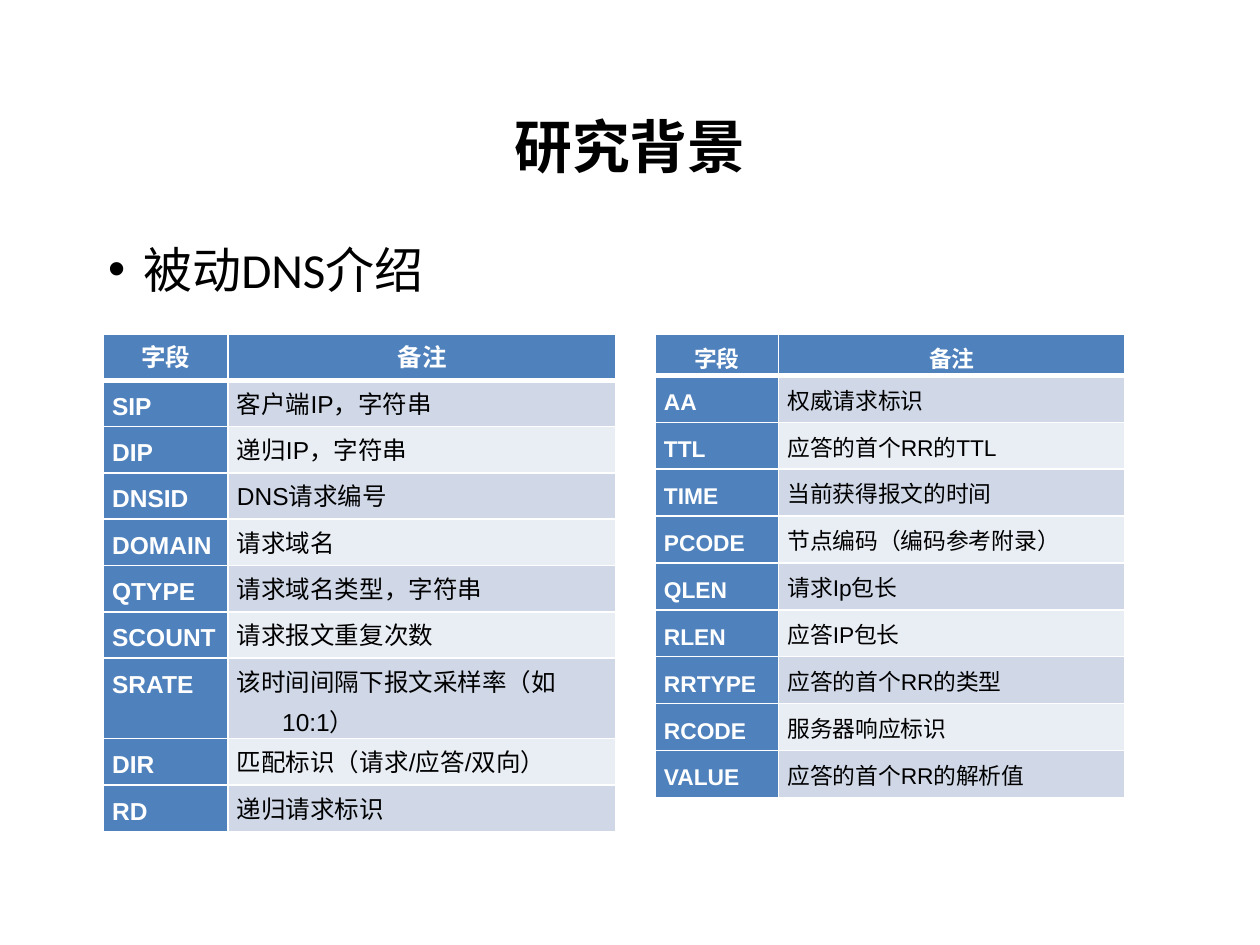
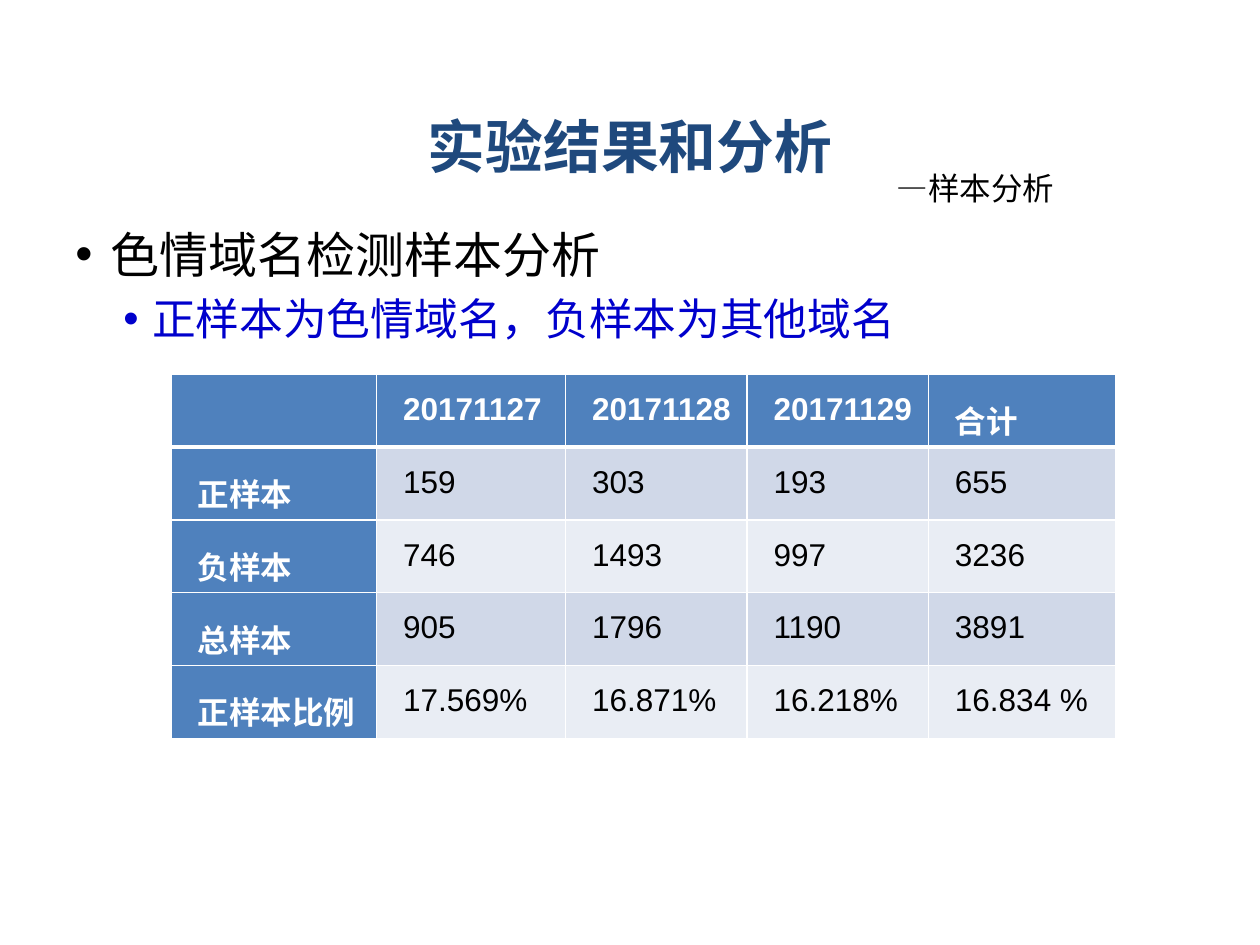
from lxml import etree
from pptx import Presentation
from pptx import util as u
from pptx.dml.color import RGBColor
from pptx.enum import text
from pptx.oxml import ns

PX = 9144  # 100 px to the inch

BLACK, WHITE = "000000", "FFFFFF"
NAVY, BLUE = "1F497D", "0000CC"
HEADER_FILL = "4F81BD"
BAND_FILLS = ("D0D8E8", "E9EDF4")
TITLE_BOX = (50, 76, 900, 79)

FIELD_HEADER = ("字段", "备注")
QUERY_FIELDS = [
    FIELD_HEADER,
    ("SIP", "客户端IP，字符串"),
    ("DIP", "递归IP，字符串"),
    ("DNSID", "DNS请求编号"),
    ("DOMAIN", "请求域名"),
    ("QTYPE", "请求域名类型，字符串"),
    ("SCOUNT", "请求报文重复次数"),
    ("SRATE", "该时间间隔下报文采样率（如10:1）"),
    ("DIR", "匹配标识（请求/应答/双向）"),
    ("RD", "递归请求标识"),
]
ANSWER_FIELDS = [
    FIELD_HEADER,
    ("AA", "权威请求标识"),
    ("TTL", "应答的首个RR的TTL"),
    ("TIME", "当前获得报文的时间"),
    ("PCODE", "节点编码（编码参考附录）"),
    ("QLEN", "请求Ip包长"),
    ("RLEN", "应答IP包长"),
    ("RRTYPE", "应答的首个RR的类型"),
    ("RCODE", "服务器响应标识"),
    ("VALUE", "应答的首个RR的解析值"),
]
SAMPLE_COUNTS = [
    ("", "20171127", "20171128", "20171129", "合计"),
    ("正样本", "159", "303", "193", "655"),
    ("负样本", "746", "1493", "997", "3236"),
    ("总样本", "905", "1796", "1190", "3891"),
    ("正样本比例", "17.569%", "16.871%", "16.218%", "16.834 %"),
]


def px(length):
    return u.Emu(round(length * PX))


def color(hex_string):
    return RGBColor.from_string(hex_string)


def add_run(paragraph, words, size, font="Arial", ink=BLACK, bold=False):
    run = paragraph.add_run()
    run.text = words
    run.font.size = u.Pt(size)
    run.font.name = font
    run.font.bold = bold
    run.font.color.rgb = color(ink)


def set_indent(paragraph, left, first):
    properties = paragraph._p.get_or_add_pPr()
    properties.set("marL", str(px(left)))
    properties.set("indent", str(px(first)))
    return properties


def add_text_frame(slide, box):
    frame = slide.shapes.add_textbox(*map(px, box)).text_frame
    frame.word_wrap = True
    return frame


def add_title(slide, words, ink):
    frame = add_text_frame(slide, TITLE_BOX)
    frame.vertical_anchor = text.MSO_ANCHOR.MIDDLE
    paragraph = frame.paragraphs[0]
    paragraph.alignment = text.PP_ALIGN.CENTER
    add_run(paragraph, words, 33, ink=ink, bold=True)


def add_bullets(slide, box, items):
    """Each item holds its words, size, ink, left margin and hanging indent."""
    frame = add_text_frame(slide, box)
    for index, (words, size, ink, left, hanging) in enumerate(items):
        paragraph = frame.add_paragraph() if index else frame.paragraphs[0]
        properties = set_indent(paragraph, left, -hanging)
        space = etree.SubElement(properties, ns.qn("a:spcBef"))
        etree.SubElement(space, ns.qn("a:spcPct"), val="20000")
        etree.SubElement(properties, ns.qn("a:buFont"), typeface="Arial")
        etree.SubElement(properties, ns.qn("a:buChar"), char="•")
        add_run(paragraph, words, size, "Calibri", ink)


def add_note(slide, box, words):
    frame = add_text_frame(slide, box)
    frame.auto_size = text.MSO_AUTO_SIZE.SHAPE_TO_FIT_TEXT
    add_run(frame.paragraphs[0], words, 18)


def set_borders(cell, top, bottom):
    properties = cell._tc.get_or_add_tcPr()
    for side, width in (("L", 1), ("R", 1), ("T", top), ("B", bottom)):
        line = etree.SubElement(properties, ns.qn(f"a:ln{side}"), w=str(u.Pt(width)))
        fill = etree.SubElement(line, ns.qn("a:solidFill"))
        etree.SubElement(fill, ns.qn("a:srgbClr"), val=WHITE)


def style_field_text(paragraph, is_header):
    set_indent(paragraph, 36, -36)
    paragraph.line_spacing = u.Pt(23)
    if is_header:
        paragraph.alignment = text.PP_ALIGN.CENTER


def style_sample_text(paragraph, is_header):
    set_indent(paragraph, 0, 14)
    paragraph.line_spacing = 1.5
    paragraph.alignment = text.PP_ALIGN.JUSTIFY


def add_data_table(slide, box, widths, rows, size, style_text,
                   header_height=None, header_font="Arial"):
    """Header row and first column are solid; the rest is banded."""
    height = box[3]
    table = slide.shapes.add_table(len(rows), len(widths), *map(px, box)).table
    for column, width in zip(table.columns, widths):
        column.width = px(width)
    header_height = header_height or height / len(rows)
    body_height = (height - header_height) / (len(rows) - 1)

    for r, values in enumerate(rows):
        table.rows[r].height = px(body_height if r else header_height)
        for c, words in enumerate(values):
            cell = table.cell(r, c)
            is_label = r == 0 or c == 0
            cell.margin_left = cell.margin_right = px(7)
            cell.margin_top = cell.margin_bottom = 0
            set_borders(cell, top=3 if r == 1 else 1, bottom=1 if r else 3)
            cell.fill.solid()
            cell.fill.fore_color.rgb = color(
                HEADER_FILL if is_label else BAND_FILLS[(r - 1) % 2])
            if words:
                paragraph = cell.text_frame.paragraphs[0]
                style_text(paragraph, r == 0)
                add_run(paragraph, words, size, "Arial" if r else header_font,
                        WHITE if is_label else BLACK, is_label)


def build_background_slide(slide):
    add_title(slide, "研究背景", BLACK)
    add_bullets(slide, (76, 185, 848, 509), [("被动DNS介绍", 28, BLACK, 28, 28)])
    add_data_table(slide, (82, 265, 407, 368), (99, 308), QUERY_FIELDS, 14,
                   style_field_text)
    add_data_table(slide, (520, 265, 373, 368), (98, 275), ANSWER_FIELDS, 13,
                   style_field_text, header_height=33, header_font="Calibri")


def build_sample_slide(slide):
    add_title(slide, "实验结果和分析", NAVY)
    add_bullets(slide, (50, 173, 879, 521), [
        ("色情域名检测样本分析", 28, BLACK, 28, 28),
        ("正样本为色情域名，负样本为其他域名", 25, BLUE, 61, 23),
    ])
    add_note(slide, (702, 129, 152, 40), "—样本分析")
    add_data_table(slide, (136, 297, 750, 289), (163, 150, 144, 144, 149),
                   SAMPLE_COUNTS, 18, style_sample_text)


def main():
    presentation = Presentation()
    presentation.slide_width, presentation.slide_height = px(1000), px(750)
    blank = presentation.slide_layouts[6]
    for build in (build_background_slide, build_sample_slide):
        build(presentation.slides.add_slide(blank))
    presentation.save("out.pptx")


if __name__ == "__main__":
    main()
